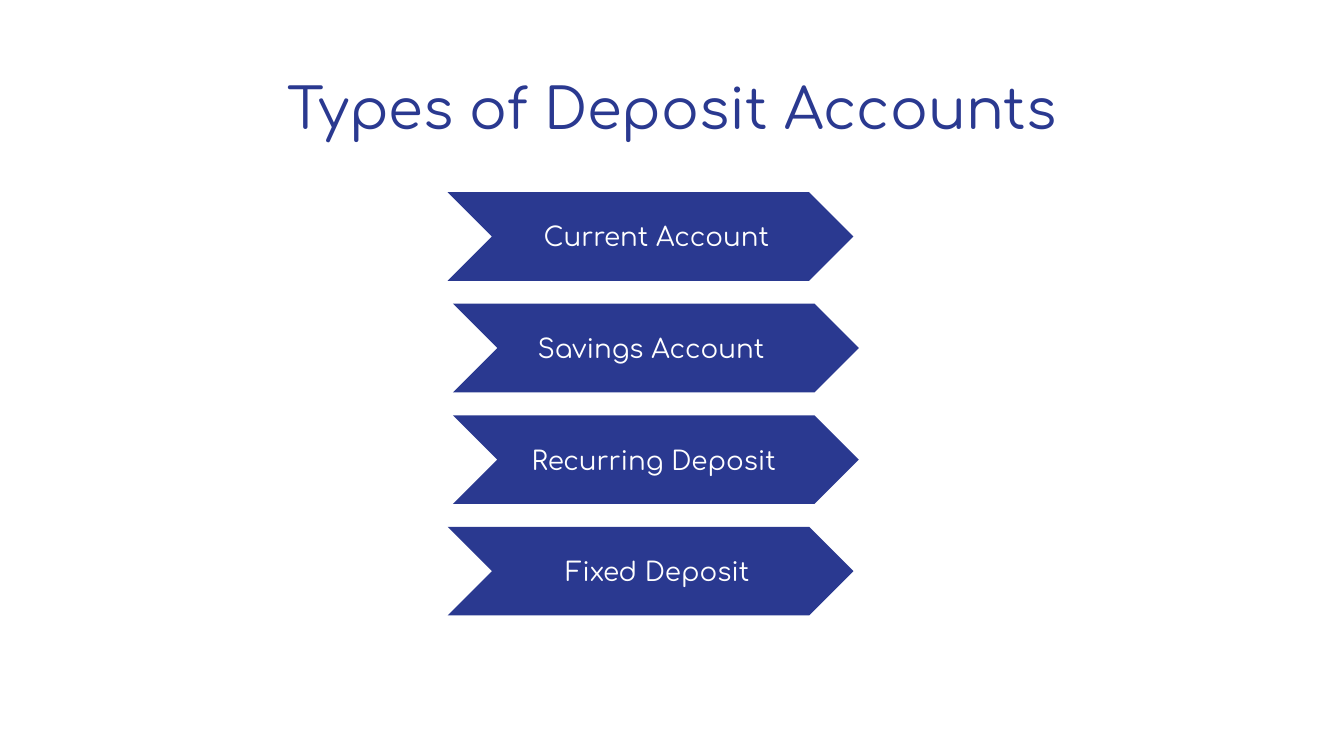
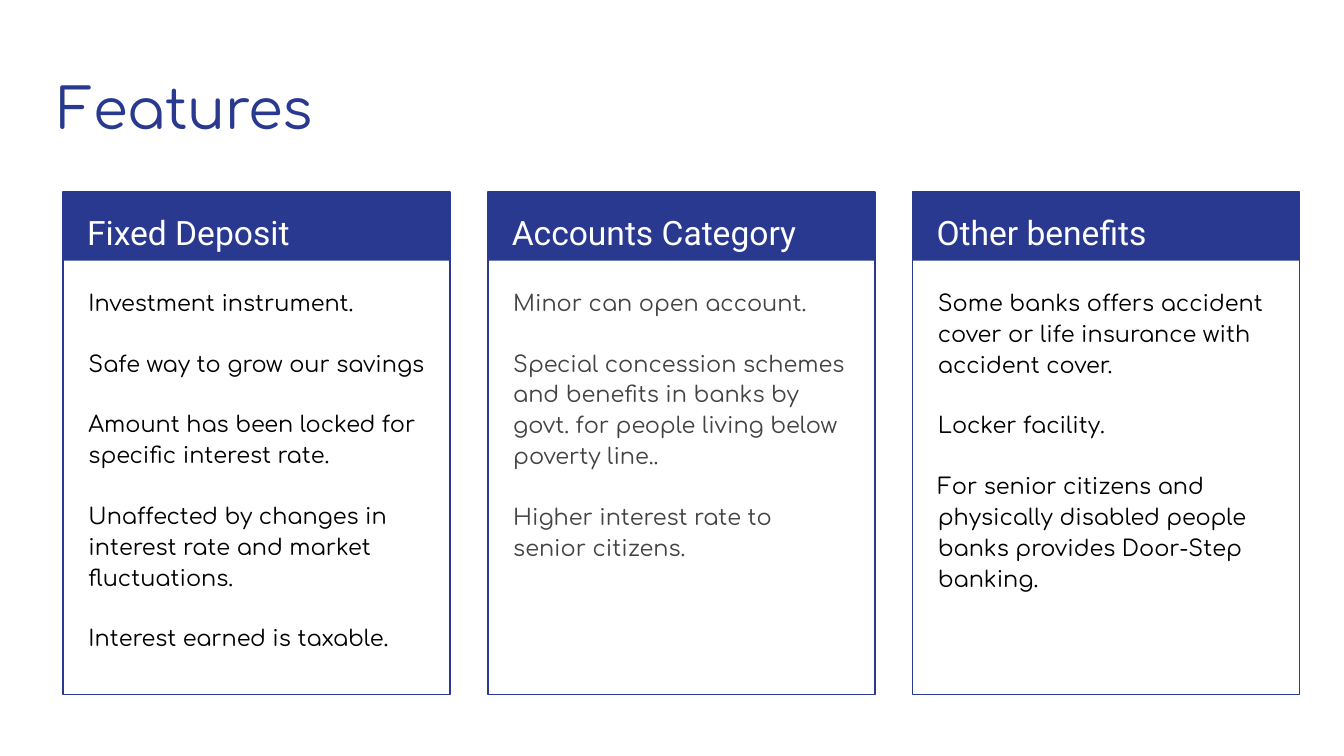
from pptx import Presentation
from pptx.dml.color import RGBColor
from pptx.enum.shapes import MSO_SHAPE
from pptx.enum.text import MSO_ANCHOR, PP_ALIGN
from pptx.util import Inches, Pt

CHEVRON, RECTANGLE = MSO_SHAPE.CHEVRON, MSO_SHAPE.RECTANGLE
LEFT, CENTER = PP_ALIGN.LEFT, PP_ALIGN.CENTER
TOP, MIDDLE = MSO_ANCHOR.TOP, MSO_ANCHOR.MIDDLE

NAVY, WHITE, BLACK, GRAY = "2A3990", "FFFFFF", "000000", "434343"
BODY_FONT, HEADING_FONT = "Comfortaa", "Roboto"
TITLE_BOX = (0.34, 0.45, 9.32, 0.66)
CONTENT_TOP = 1.43


def add_text(slide, box, *texts, size=12, color=BLACK, font=BODY_FONT,
             align=LEFT, anchor=TOP, line_spacing=1.0, gap=0):
    """Add a text box with one paragraph per text, gap points apart."""
    frame = slide.shapes.add_textbox(*map(Inches, box)).text_frame
    frame.word_wrap = True
    frame.vertical_anchor = anchor
    frame.margin_left = frame.margin_right = Inches(0.1)
    frame.margin_top = frame.margin_bottom = Inches(0.1)
    for index, text in enumerate(texts):
        paragraph = frame.add_paragraph() if index else frame.paragraphs[0]
        paragraph.alignment = align
        paragraph.line_spacing = line_spacing
        paragraph.space_before = Pt(gap if index else 0)
        run = paragraph.add_run()
        run.text = text
        run.font.size = Pt(size)
        run.font.name = font
        run.font.color.rgb = RGBColor.from_string(color)


def add_box(slide, kind, box, fill=None, line=None):
    """Add a preset shape with an optional fill and outline."""
    shape = slide.shapes.add_shape(kind, *map(Inches, box))
    shape.shadow.inherit = False
    if fill:
        shape.fill.solid()
        shape.fill.fore_color.rgb = RGBColor.from_string(fill)
    else:
        shape.fill.background()
    if line:
        shape.line.color.rgb = RGBColor.from_string(line)
        shape.line.width = Pt(0.75)
    else:
        shape.line.fill.background()


# Widescreen slides, 16:9
presentation = Presentation()
presentation.slide_width = Inches(10)
presentation.slide_height = Inches(10 * 9 / 16)
blank_layout = presentation.slide_layouts[6]

# Slide 1: a stack of chevrons, each with its label
slide = presentation.slides.add_slide(blank_layout)
add_text(slide, TITLE_BOX, "Types of Deposit Accounts",
         size=30, color=NAVY, align=CENTER)

accounts = [  # label, chevron left, label left
    ("Current Account", 3.33, 3.65),
    ("Savings Account", 3.37, 3.61),
    ("Recurring Deposit ", 3.37, 3.66),
    ("Fixed Deposit", 3.33, 3.66),
]
for row, (label, chevron_left, label_left) in enumerate(accounts):
    top = CONTENT_TOP + row * 0.83
    add_box(slide, CHEVRON, (chevron_left, top, 3.02, 0.66), fill=NAVY)
    add_text(slide, (label_left, top + 0.16, 2.47, 0.34), label,
             size=14, color=WHITE, align=CENTER, anchor=MIDDLE)

# Slide 2: three outlined cards with a heading band
slide = presentation.slides.add_slide(blank_layout)
add_text(slide, TITLE_BOX, "Features", size=30, color=NAVY)

cards = [  # heading, text color, points
    ("Fixed Deposit", BLACK, [
        "Investment instrument.",
        "Safe way to grow our savings",
        "Amount has been locked for specific interest rate.",
        "Unaffected by changes in interest rate and market fluctuations.",
        "Interest earned is taxable.",
    ]),
    ("Accounts Category", GRAY, [
        "Minor can open account.",
        "Special concession schemes and benefits in banks by govt. "
        "for people living below poverty line..",
        "Higher interest rate to senior citizens.",
    ]),
    ("Other benefits", BLACK, [
        "Some banks offers accident cover or life insurance with "
        "accident cover.",
        "Locker facility.",
        "For senior citizens and physically disabled people banks "
        "provides Door-Step banking.",
    ]),
]
for column, (heading, color, points) in enumerate(cards):
    left = 0.47 + column * 3.16
    add_box(slide, RECTANGLE, (left, CONTENT_TOP, 2.88, 0.51), fill=NAVY)
    add_box(slide, RECTANGLE, (left, CONTENT_TOP, 2.88, 3.74), line=NAVY)
    add_text(slide, (left + 0.08, CONTENT_TOP, 2.73, 0.5), heading,
             size=18, color=WHITE, font=HEADING_FONT, line_spacing=1.15)
    add_text(slide, (left + 0.09, 2.02, 2.71, 3.06), *points,
             color=color, line_spacing=1.15, gap=16)

presentation.save("out.pptx")
